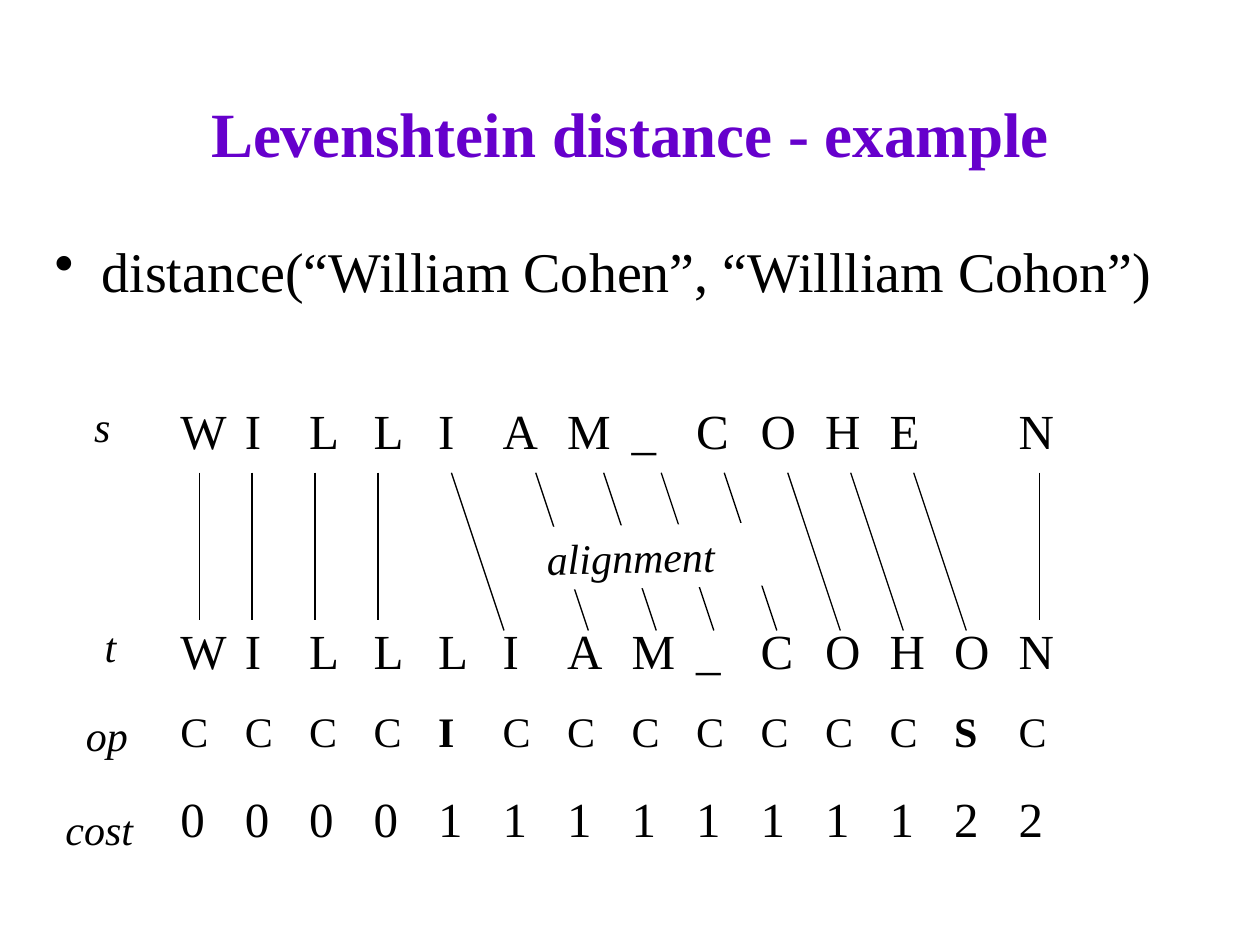
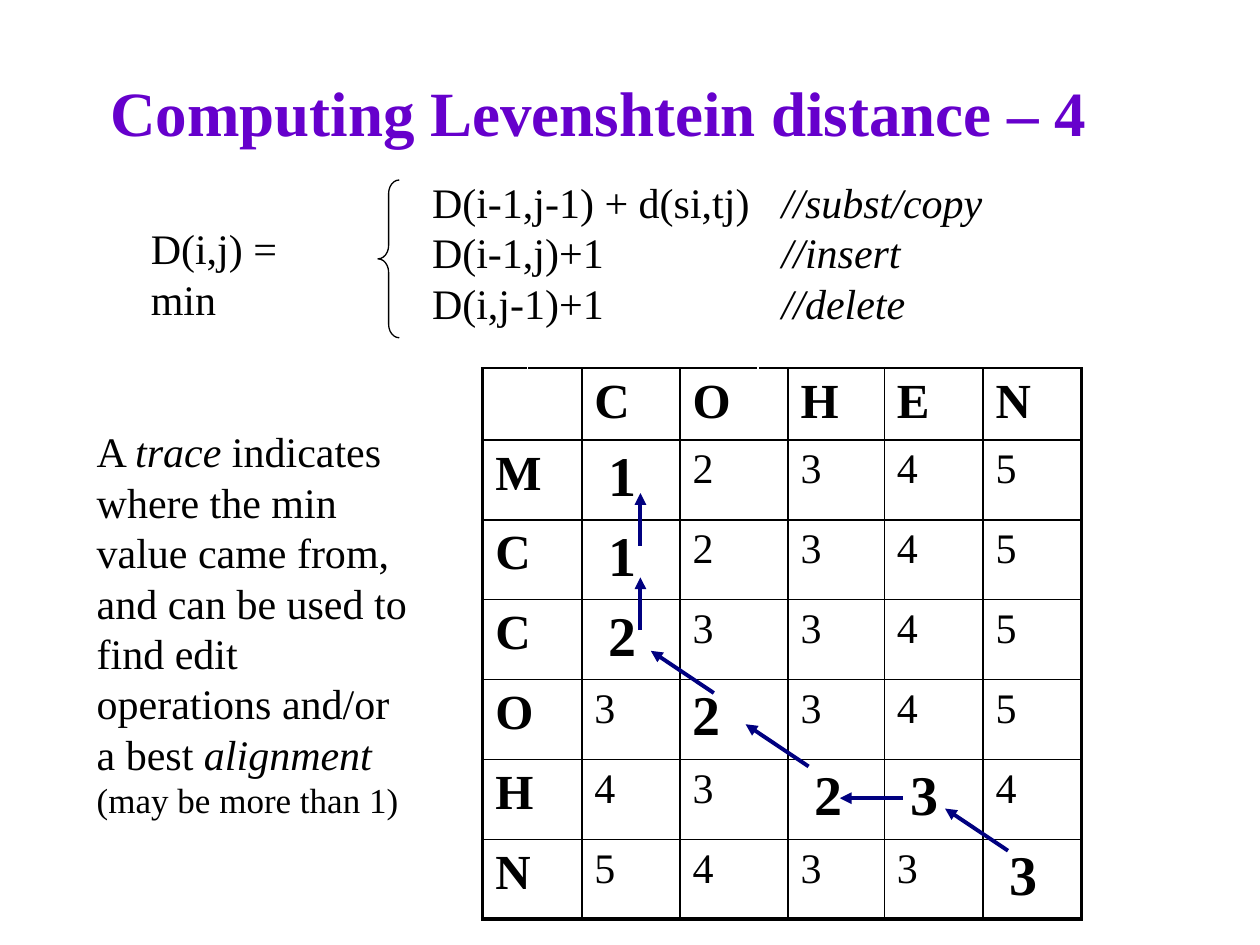
from lxml import etree
from pptx import Presentation
from pptx import util as u
from pptx.dml.color import RGBColor
from pptx.enum import shapes, text
from pptx.oxml.ns import qn

FONT = "Times New Roman"
BLACK, WHITE, PURPLE, NAVY = "000000", "FFFFFF", "6600CC", "000080"


def color(hex_string):
    """Turn a hex string into a colour."""
    return RGBColor.from_string(hex_string)


def format_font(font, size, bold=False, italic=False, ink=BLACK):
    """Give a font the shared face with its size, weight and colour."""
    font.name, font.size = FONT, u.Pt(size)
    font.bold, font.italic = bold, italic
    font.color.rgb = color(ink)


def add_title(slide, wording, left, top, width, height):
    """Place and format the title placeholder."""
    title = slide.shapes.title
    title.left, title.top = u.Cm(left), u.Cm(top)
    title.width, title.height = u.Cm(width), u.Cm(height)
    frame = title.text_frame
    frame.text = wording
    frame.vertical_anchor = text.MSO_ANCHOR.MIDDLE
    frame.paragraphs[0].alignment = text.PP_ALIGN.CENTER
    format_font(frame.paragraphs[0].runs[0].font, 36, bold=True, ink=PURPLE)


def add_text(slide, lines, left, top, width, height, size=24, wrap=True, tab=None):
    """Add a text box whose lines are lists of (wording, italic) or (wording, italic, size)."""
    box = slide.shapes.add_textbox(u.Cm(left), u.Cm(top), u.Cm(width), u.Cm(height))
    frame = box.text_frame
    frame.word_wrap = wrap
    for number, line in enumerate(lines):
        paragraph = frame.add_paragraph() if number else frame.paragraphs[0]
        if tab:
            stops = etree.SubElement(paragraph._p.get_or_add_pPr(), qn("a:tabLst"))
            etree.SubElement(stops, qn("a:tab"), pos=str(u.Cm(tab)), algn="l")
        for wording, italic, *own_size in line:
            run = paragraph.add_run()
            run.text = wording
            format_font(run.font, own_size[0] if own_size else size, italic=italic)
    return frame


def add_line(slide, start, end, ink=BLACK, weight=0.75, arrow=False):
    """Draw a straight line between two points, with an arrowhead at its end if asked."""
    line = slide.shapes.add_connector(
        shapes.MSO_CONNECTOR.STRAIGHT, *(u.Cm(value) for value in (*start, *end)))
    line.line.color.rgb = color(ink)
    line.line.width = u.Pt(weight)
    properties = line._element.spPr
    if arrow:
        etree.SubElement(line.line._get_or_add_ln(), qn("a:tailEnd"), type="triangle")
    etree.SubElement(properties, qn("a:effectLst"))


def add_grid(slide, left, top, widths, heights):
    """Add an unbanded table with the given column widths and row heights."""
    table = slide.shapes.add_table(
        len(heights), len(widths), u.Cm(left), u.Cm(top),
        u.Cm(sum(widths)), u.Cm(sum(heights))).table
    table.first_row = table.horz_banding = False
    for column, width in zip(table.columns, widths):
        column.width = u.Cm(width)
    for row, height in zip(table.rows, heights):
        row.height = u.Cm(height)
    return table


def fill_cell(cell, wording, size, bold=False):
    """Clear the fill of a cell and write its wording."""
    cell.fill.background()
    if wording:
        cell.text = wording
        format_font(cell.text_frame.paragraphs[0].runs[0].font, size, bold)


def set_borders(cell, borders):
    """Draw the sides of a cell, given as side: (colour, weight)."""
    properties = cell._tc.get_or_add_tcPr()
    for side in "LRTB":
        ink, weight = borders[side]
        edge = etree.SubElement(properties, qn(f"a:ln{side}"), w=str(u.Pt(weight)))
        fill = etree.SubElement(edge, qn("a:solidFill"))
        etree.SubElement(fill, qn("a:srgbClr"), val=ink)


def add_bullet(slide, wording, left, top, width, height):
    """Add a single bulleted line."""
    frame = add_text(slide, [[(wording, False)]], left, top, width, height, size=32)
    properties = frame.paragraphs[0]._p.get_or_add_pPr()
    properties.set("marL", str(u.Cm(0.95)))
    properties.set("indent", str(-u.Cm(0.95)))
    etree.SubElement(properties, qn("a:buChar"), char="•")


def add_alignment(slide, left, top):
    """Show both strings letter by letter, with links, operations and costs."""
    rows = [("WILLIAM_COHE N", 28, 1.48), (" " * 14, 28, 2.96), ("WILLLIAM_COHON", 28, 1.69),
            ("CCCCICCCCCCCSC", 24, 1.69), ("00001111111122", 28, 1.91)]
    table = add_grid(slide, left, top, [1.3] * 13 + [3.2], [row[2] for row in rows])
    for r, (letters, size, _) in enumerate(rows):
        for c, letter in enumerate(letters):
            fill_cell(table.cell(r, c), letter.strip(), size, bold=letter in "IS" and r == 3)

    link_top = top + 1.48
    for x in (0.64, 1.7, 2.97, 4.24, 17.58):
        add_line(slide, (left + x, link_top), (left + x, link_top + 2.96))
    for x in (5.72, 7.42, 8.79, 9.95, 11.22, 12.5, 13.77, 15.04):
        add_line(slide, (left + x, link_top), (left + x + 1.06, link_top + 3.18))

    for label, x, y, width in [("s", -1.73, -0.1, 0.84), ("t", -1.52, 4.34, 0.74),
                               ("op", -1.9, 6.13, 1.35), ("cost", -2.31, 8.03, 1.88)]:
        add_text(slide, [[(label, True)]], left + x, top + y, width, 1.27, wrap=False)

    caption = slide.shapes.add_shape(
        shapes.MSO_SHAPE.RECTANGLE, u.Cm(left + 6.58), u.Cm(top + 2.54), u.Cm(5.51), u.Cm(1.27))
    caption.shadow.inherit = False
    caption.rotation = -1.1
    caption.fill.solid()
    caption.fill.fore_color.rgb = color(WHITE)
    caption.line.fill.background()
    caption.text_frame.text = "alignment"
    paragraph = caption.text_frame.paragraphs[0]
    paragraph.alignment = text.PP_ALIGN.CENTER
    format_font(paragraph.runs[0].font, 24, italic=True)


def add_recurrence(slide, left, top):
    """Write the recurrence with its brace and three cases."""
    add_text(slide, [[("D(i,j) = min", False)]], left, top + 0.94, 4.57, 1.27, wrap=False)
    brace = slide.shapes.add_shape(
        shapes.MSO_SHAPE.LEFT_BRACE, u.Cm(left + 4.83), u.Cm(top + 0.2), u.Cm(0.43), u.Cm(3.18))
    brace.shadow.inherit = False
    brace.adjustments[0], brace.adjustments[1] = 0.625, 0.5
    brace.fill.background()
    brace.line.color.rgb = color(BLACK)
    brace.line.width = u.Pt(0.75)
    cases = [("D(i-1,j-1) + d(si,tj)", "//subst/copy"),
             ("D(i-1,j)+1", "//insert"), ("D(i,j-1)+1", "//delete")]
    add_text(slide, [[(value + "\t", False), (note, True)] for value, note in cases],
             left + 5.67, top, 11.9, 3.3, tab=7.05)


def add_cost_matrix(slide, left, top):
    """Draw the matrix of costs with the trace arrows over it."""
    rows = [" COHEN", "M12345", "C12345", "C23345", "O32345", "H43234", "N54333"]
    trace = {(1, 2), (2, 2), (3, 2), (4, 3), (5, 5), (5, 6), (6, 7)}
    text_columns = (0, 2, 3, 5, 6, 7)
    widths = [0.9, 1.1, 1.98, 1.57, 0.59, 1.94, 1.99, 1.98]
    table = add_grid(slide, left, top, widths, [1.45] + [1.61] * 6)
    split_rows = {0: 1, 3: 2}
    for r, letters in enumerate(rows):
        wordings = dict(zip(text_columns, letters.strip(" ").rjust(6)))
        for c in range(len(widths)):
            cell = table.cell(r, c)
            borders = dict.fromkeys("LRTB", (BLACK, 1))
            if r < split_rows.get(c, 0):
                borders["R"] = (WHITE, 1)
            if r < split_rows.get(c - 1, 0):
                borders["L"] = (WHITE, 1)
            for side, outer in (("L", c == 0), ("R", c == 7), ("B", r == 6)):
                if outer:
                    borders[side] = (BLACK, 2.25)
            set_borders(cell, borders)
            on_trace, heading = (r, c) in trace, r == 0 or c == 0
            size = 32 if on_trace else 28 if heading else 24
            fill_cell(cell, wordings.get(c, "").strip(), size, on_trace or heading)
            if on_trace and c != 3:
                cell.margin_left = u.Cm(0.53)
    for c, first_merged in split_rows.items():
        for r in range(first_merged, len(rows)):
            table.cell(r, c).merge(table.cell(r, c + 1))

    diagonal, back, up = (-1.27, -0.85), (-1.27, 0), (0, -1.06)
    for x, y, (dx, dy) in [(10.59, 9.73, diagonal), (8.47, 8.67, back), (6.57, 8.03, diagonal),
                           (4.66, 6.55, diagonal), (3.18, 5.28, up), (3.18, 3.58, up)]:
        add_line(slide, (left + x, top + y), (left + x + dx, top + y + dy), NAVY, 2.25, True)


def build_example(slide):
    """Build the worked example of the distance."""
    add_title(slide, "Levenshtein distance - example", 1.91, 1.07, 21.59, 3.18)
    add_bullet(slide, "distance(“William Cohen”, “Willliam Cohon”)", 0.85, 4.65, 23.7, 2.33)
    add_alignment(slide, 3.38, 8.05)


def build_computation(slide):
    """Build the recurrence, the matrix and the explanation of the trace."""
    add_title(slide, "Computing Levenshtein distance – 4", 1.27, 1.07, 21.59, 2.33)
    add_recurrence(slide, 2.79, 3.43)
    add_cost_matrix(slide, 9.73, 7.42)
    explanation = [
        ("A ", False), ("trace ", True),
        ("indicates where the min value came from, and can be used to find edit "
         "operations and/or a best ", False),
        ("alignment ", True), ("(may be more than 1)", False, 20)]
    add_text(slide, [explanation], 1.7, 8.46, 6.96, 8.2)


def main():
    """Build and save the presentation."""
    deck = Presentation()
    deck.slide_width, deck.slide_height = u.Cm(25.4), u.Cm(19.05)
    for build in (build_example, build_computation):
        build(deck.slides.add_slide(deck.slide_layouts[5]))
    deck.save("out.pptx")


if __name__ == "__main__":
    main()
